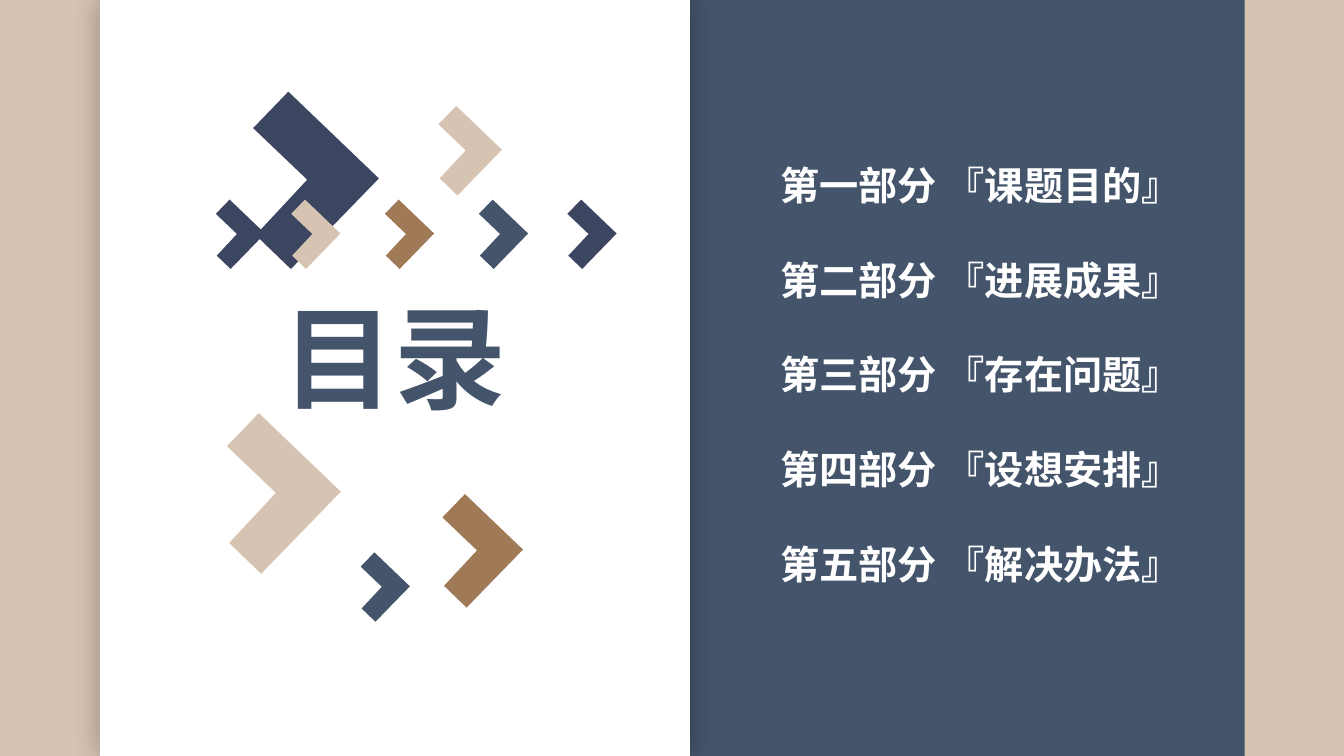
from dataclasses import dataclass

from lxml.etree import SubElement
from pptx import Presentation
from pptx.dml.color import RGBColor
from pptx.enum.shapes import MSO_SHAPE
from pptx.enum.text import MSO_ANCHOR, MSO_AUTO_SIZE, PP_ALIGN
from pptx.oxml.ns import qn
from pptx.util import Cm, Pt


@dataclass(frozen=True)
class Theme:
    """Colours, typeface and type sizes of the deck."""
    sand: str = "D7C3B1"
    slate: str = "44546A"
    navy: str = "3C4661"
    bronze: str = "A07957"
    white: str = "FFFFFF"
    shadow: str = "000000"
    font: str = "Noto Sans CJK SC"
    title_size: int = 80
    list_size: int = 28


CHEVRON = [(30, 141), (2, 114), (43, 70), (0, 29), (28, 0), (100, 69)]


class Deck:
    """Holds the theme and the current slide and draws its elements."""

    def __init__(self, prs, theme):
        """Add a title and content slide with a plain background."""
        self.theme = theme
        self.s = prs.slides.add_slide(prs.slide_layouts[1])
        self.fill(self.s.background, theme.sand)

    def fill(self, target, color):
        """Fill a shape or background with one solid colour."""
        target.fill.solid()
        target.fill.fore_color.rgb = RGBColor.from_string(color)

    def finish(self, sp, color):
        """Give a shape a flat fill without line or shadow."""
        self.fill(sp, color)
        sp.line.fill.background()
        sp.shadow.inherit = False
        return sp

    def panel(self, left, width, color):
        """Draw a full-height panel."""
        sp = self.s.shapes.add_shape(
            MSO_SHAPE.RECTANGLE, Cm(left), 0, Cm(width), Cm(19.05))
        return self.finish(sp, color)

    def glow(self, sp, blur, opacity):
        """Add a soft shadow around a shape."""
        effects = sp._element.spPr.find(qn("a:effectLst"))
        shadow = SubElement(effects, qn("a:outerShdw"), blurRad=str(Pt(blur)),
                            dist="0", dir="0", algn="ctr", rotWithShape="0")
        color = SubElement(shadow, qn("a:srgbClr"), val=self.theme.shadow)
        SubElement(color, qn("a:alpha"), val=str(opacity * 1000))

    def chevron(self, left, top, size, color):
        """Draw a chevron that points right."""
        builder = self.s.shapes.build_freeform(*CHEVRON[0], scale=Cm(size) / 100)
        builder.add_line_segments(CHEVRON[1:], close=True)
        return self.finish(builder.convert_to_shape(Cm(left), Cm(top)), color)

    def text(self, sp, box, lines, size, color, **layout):
        """Move a placeholder to the front and fill it with formatted lines."""
        self.s.shapes._spTree.append(sp._element)
        for name, value in zip(("left", "top", "width", "height"), box):
            setattr(sp, name, Cm(value))
        tf = sp.text_frame
        frame = {"word_wrap": True, "auto_size": MSO_AUTO_SIZE.NONE,
                 "vertical_anchor": MSO_ANCHOR.MIDDLE,
                 "margin_top": 0, "margin_bottom": 0}
        for name, value in frame.items():
            setattr(tf, name, value)
        tf.text = "\n".join(lines)
        font = {"name": self.theme.font, "size": Pt(size), "bold": True}
        for i, p in enumerate(tf.paragraphs):
            pPr = p._p.get_or_add_pPr()
            pPr.set("marL", "0")
            pPr.set("indent", "0")
            SubElement(pPr, qn("a:buNone"))
            for name, value in layout.items():
                setattr(p, name, value)
            if i == 0:
                p.space_before = Pt(0)
            r = p.runs[0]
            for name, value in font.items():
                setattr(r.font, name, value)
            r.font.color.rgb = RGBColor.from_string(color)
            SubElement(r._r.get_or_add_rPr(), qn("a:ea"), typeface=self.theme.font)


def main():
    """Build the contents slide."""
    prs = Presentation()
    prs.slide_width, prs.slide_height = Cm(33.87), Cm(19.05)
    t = Theme()
    deck = Deck(prs, t)

    deck.panel(2.51, 28.86, t.slate)
    deck.glow(deck.panel(2.51, 14.88, t.white), blur=20, opacity=30)

    title, body = deck.s.placeholders
    topics = ["课题目的", "进展成果", "存在问题", "设想安排", "解决办法"]
    sections = [f"第{n}部分 『{topic}』" for n, topic in zip("一二三四五", topics)]
    deck.text(body, (19.41, 3.48, 11.18, 11.89), sections, t.list_size, t.white,
              alignment=PP_ALIGN.LEFT, line_spacing=1.0, space_before=Pt(34))
    deck.text(title, (6.15, 7.26, 7.59, 3.86), ["目录"], t.title_size, t.slate,
              alignment=PP_ALIGN.CENTER, line_spacing=0.9)

    deck.chevron(11.05, 2.67, 1.6, t.sand)
    deck.chevron(6.38, 2.31, 3.17, t.navy)
    row = [(7.34, t.sand), (5.44, t.navy), (9.7, t.bronze),
           (12.07, t.slate), (14.3, t.navy)]
    for left, color in row:
        deck.chevron(left, 5.03, 1.24, color)
    deck.chevron(5.72, 10.41, 2.87, t.sand)
    deck.chevron(11.15, 12.45, 2.03, t.bronze)
    deck.chevron(9.09, 13.92, 1.24, t.slate)

    prs.save("out.pptx")


if __name__ == "__main__":
    main()
